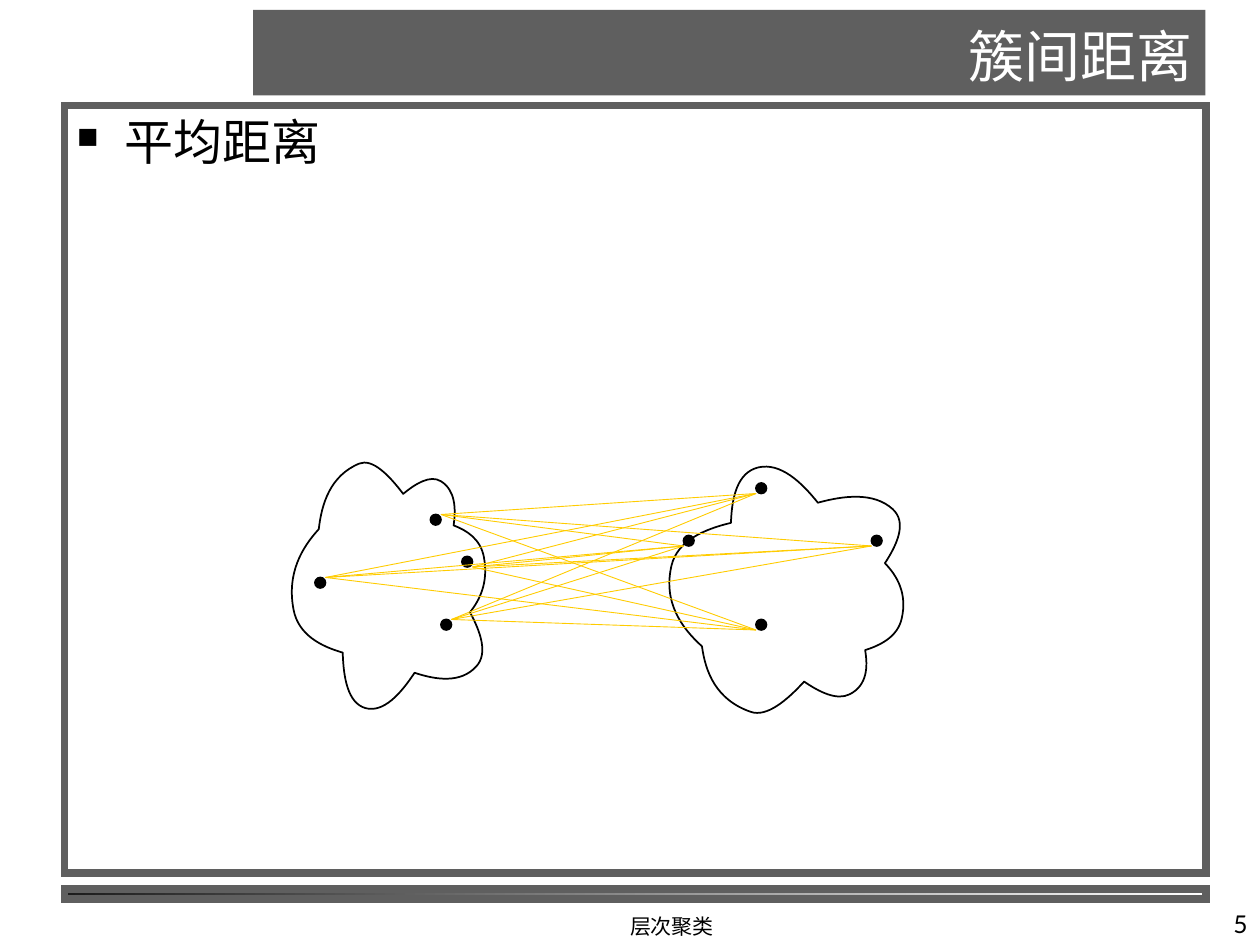
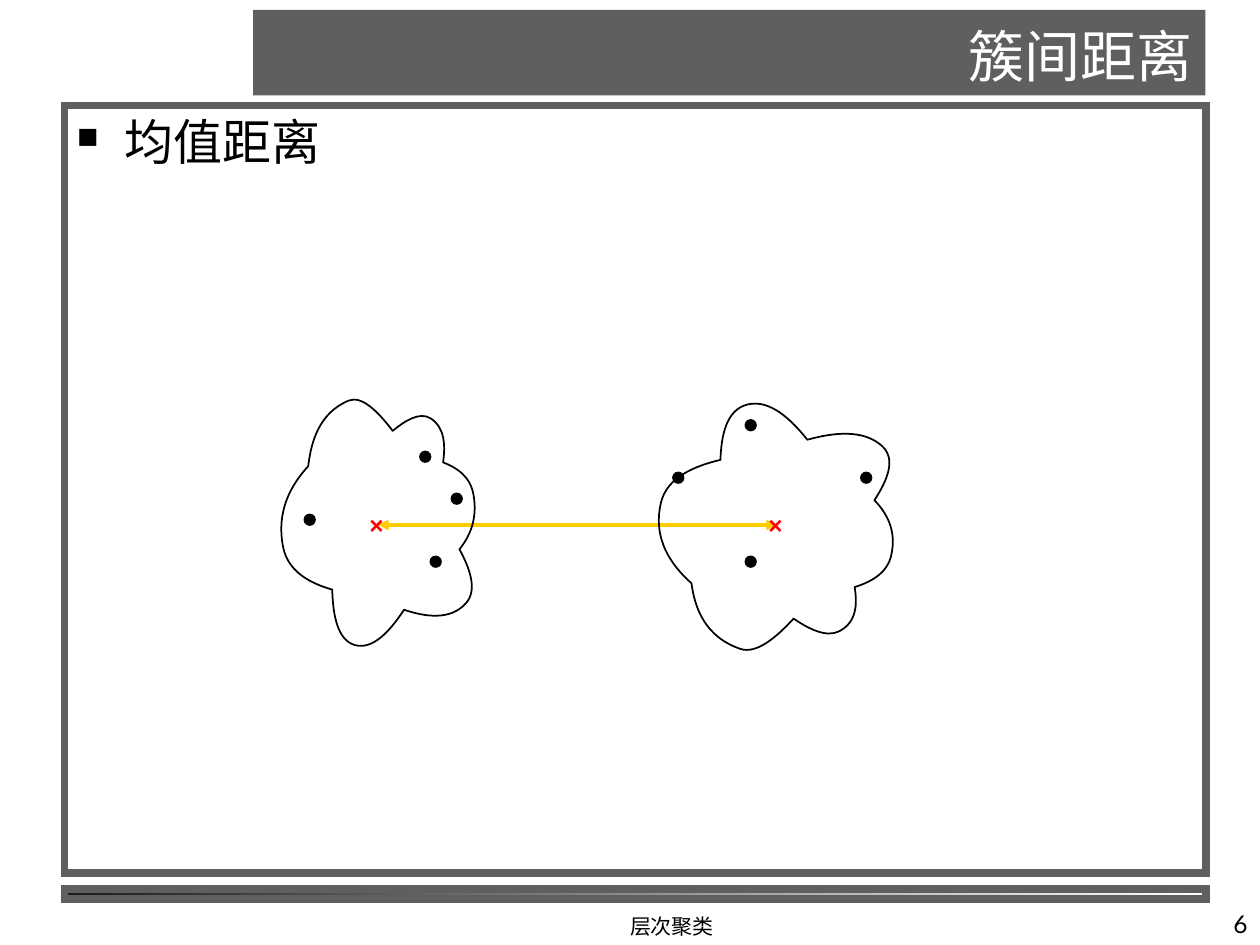
"""Build two slides on average and mean distance between clusters."""
from itertools import product
from lxml.etree import SubElement
from pptx import Presentation
from pptx.dml.color import RGBColor
from pptx.enum.shapes import MSO_CONNECTOR, MSO_SHAPE
from pptx.enum.text import MSO_ANCHOR, MSO_AUTO_SIZE, PP_ALIGN
from pptx.oxml.ns import qn
from pptx.util import Inches, Pt

GRAY = RGBColor(0x5F, 0x5F, 0x5F)
DARK = RGBColor(0x1C, 0x1C, 0x1C)
BLACK = RGBColor(0, 0, 0)
WHITE = RGBColor(255, 255, 255)
GOLD = RGBColor(0xFF, 0xCC, 0)
RED = RGBColor(255, 0, 0)
CELL = 1 / 12
INDENT = Inches(0.38)

NOTCHES = [2.53 + 4.2j, 3.2 + 3.92j, 3.6 + 4.17j,
           3.73 + 4.86j, 3.29 + 5.34j, 2.72 + 5.18j]
TIPS = [2.85 + 3.68j, 3.5 + 3.82j, 3.84 + 4.42j,
        3.78 + 5.29j, 2.9 + 5.62j, 2.33 + 4.84j]
LEFT = [(42, 59), (41, 49), (30, 55), (44, 53)]
RIGHT = [(83, 51), (65.1, 51), (72, 59), (72, 46)]
STARTS = [(43, 59), (42, 49), (31, 55), (45, 54)]
ENDS = [(x, y + 1) for x, y in RIGHT]
PAGES = [
    ("5", "平均距离", 0, 0, list(product(STARTS, ENDS)), 0.5, []),
    ("6", "均值距离", -1, -6, [((36, 50), (74, 50))], 2, [34, 72]),
]


def cells(*spans):
    """Turn grid cells into lengths."""
    return [Inches(span * CELL) for span in spans]


def write(shape, words, size, face, color, align, anchor):
    """Put one styled run into a shape and return its paragraph."""
    frame = shape.text_frame
    frame.word_wrap = True
    frame.auto_size = MSO_AUTO_SIZE.NONE
    frame.vertical_anchor = anchor
    para = frame.paragraphs[0]
    para.alignment = align
    run = para.add_run()
    run.text = words
    run.font.size = Pt(size)
    run.font.color.rgb = color
    run.font.name = face
    SubElement(run.font._element, qn("a:ea"), typeface=face)
    return para


outline = NOTCHES[:1]
for notch, tip, close in zip(NOTCHES, TIPS, NOTCHES[1:] + NOTCHES[:1]):
    chord = (close - notch) / abs(close - notch)
    lead, trail = [
        (end + 0.5 * rise + 0.2 * run, tip - 0.5 * run)
        for end in (notch, close)
        for run in [chord * ((tip - end) * chord.conjugate()).real]
        for rise in [tip - end - run]
    ]
    outline += [*lead, tip, *reversed(trail), close]
BLOBS = [
    [(spot.real, spot.imag) for spot in outline],
    [(2.51 + 1.21 * spot.real, 9.33 - spot.imag) for spot in outline],
]

deck = Presentation()
deck.slide_width, deck.slide_height = cells(120, 90)

for page, topic, dx, dy, links, weight, marks in PAGES:
    slide = deck.slides.add_slide(deck.slide_layouts[5])
    shapes = slide.shapes

    title = shapes.title
    title.left, title.top, title.width, title.height = cells(24.1, 0.95, 90.7, 8.15)
    title.fill.solid()
    title.fill.fore_color.rgb = GRAY
    write(title, "簇间距离", 32, "Noto Sans CJK SC", WHITE,
          PP_ALIGN.RIGHT, MSO_ANCHOR.BOTTOM)

    strip = shapes.add_shape(MSO_SHAPE.RECTANGLE, *cells(6.15, 84.65, 108.7, 0.95))
    strip.fill.gradient()
    strip.fill.gradient_angle = 0
    for stop, color in zip(strip.fill.gradient_stops, (DARK, WHITE)):
        stop.color.rgb = color
    frame = shapes.add_shape(MSO_SHAPE.RECTANGLE, *cells(6.15, 10.05, 108.7, 73.1))
    frame.fill.background()
    for border in (strip, frame):
        border.shadow.inherit = False
        border.line.color.rgb = GRAY
        border.line.width = Pt(4.5)
        SubElement(border.line._get_or_add_ln(), qn("a:miter"), lim="800000")

    para = write(frame, topic, 28, "Noto Sans CJK JP", BLACK,
                 PP_ALIGN.LEFT, MSO_ANCHOR.TOP)
    props = para._p.get_or_add_pPr()
    props.set("marL", str(INDENT))
    props.set("indent", str(-INDENT))
    tint = SubElement(props, qn("a:buClr"))
    SubElement(tint, qn("a:srgbClr"), val=str(BLACK))
    SubElement(props, qn("a:buSzPct"), val="60000")
    SubElement(props, qn("a:buChar"), char="■")

    for words, size, align, area in (
        ("层次聚类", 12, PP_ALIGN.CENTER, (45, 85, 38, 5)),
        (page, 14, PP_ALIGN.RIGHT, (95, 84, 25, 6)),
    ):
        foot = shapes.add_textbox(*cells(*area))
        write(foot, words, size, "Lato", BLACK, align, MSO_ANCHOR.BOTTOM)

    for points in BLOBS:
        moved = [(Inches(x + dx * CELL), Inches(y + dy * CELL)) for x, y in points]
        pen = shapes.build_freeform(*moved[0])
        pen.add_line_segments(moved[1:], close=True)
        blob = pen.convert_to_shape()
        blob.shadow.inherit = False
        blob.fill.background()
        blob.line.color.rgb = BLACK
        blob.line.width = Pt(1)
        steps = blob._element.xpath(".//a:lnTo")
        for first in range(0, len(outline) - 1, 3):
            trio = steps[first:first + 3]
            curve = SubElement(trio[0].getparent(), qn("a:cubicBezTo"))
            trio[0].addprevious(curve)
            for step in trio:
                curve.append(step[0])
                step.getparent().remove(step)

    for x, y in LEFT + RIGHT:
        dot = shapes.add_shape(MSO_SHAPE.OVAL, *cells(x + dx, y + dy, 1, 1))
        dot.shadow.inherit = False
        dot.fill.solid()
        dot.fill.fore_color.rgb = BLACK
        dot.line.color.rgb = BLACK
        dot.line.width = Pt(1)

    for start, end in links:
        link = shapes.add_connector(MSO_CONNECTOR.STRAIGHT, *cells(*start, *end))
        link.line.color.rgb = GOLD
        link.line.width = Pt(weight)
        SubElement(link._element.spPr, qn("a:effectLst"))
        if marks:
            for tip in ("a:headEnd", "a:tailEnd"):
                SubElement(link.line._get_or_add_ln(), qn(tip), type="triangle")
            frame._element.addnext(link._element)

    for x in marks:
        mark = shapes.add_textbox(*cells(x, 48.6, 3.7, 3.4))
        inner = mark.text_frame
        inner.margin_left = inner.margin_right = inner.margin_top = 0
        para = write(mark, "×", 14, "Arial", RED, PP_ALIGN.CENTER, MSO_ANCHOR.TOP)
        para.runs[0].font.bold = True

deck.save("out.pptx")
